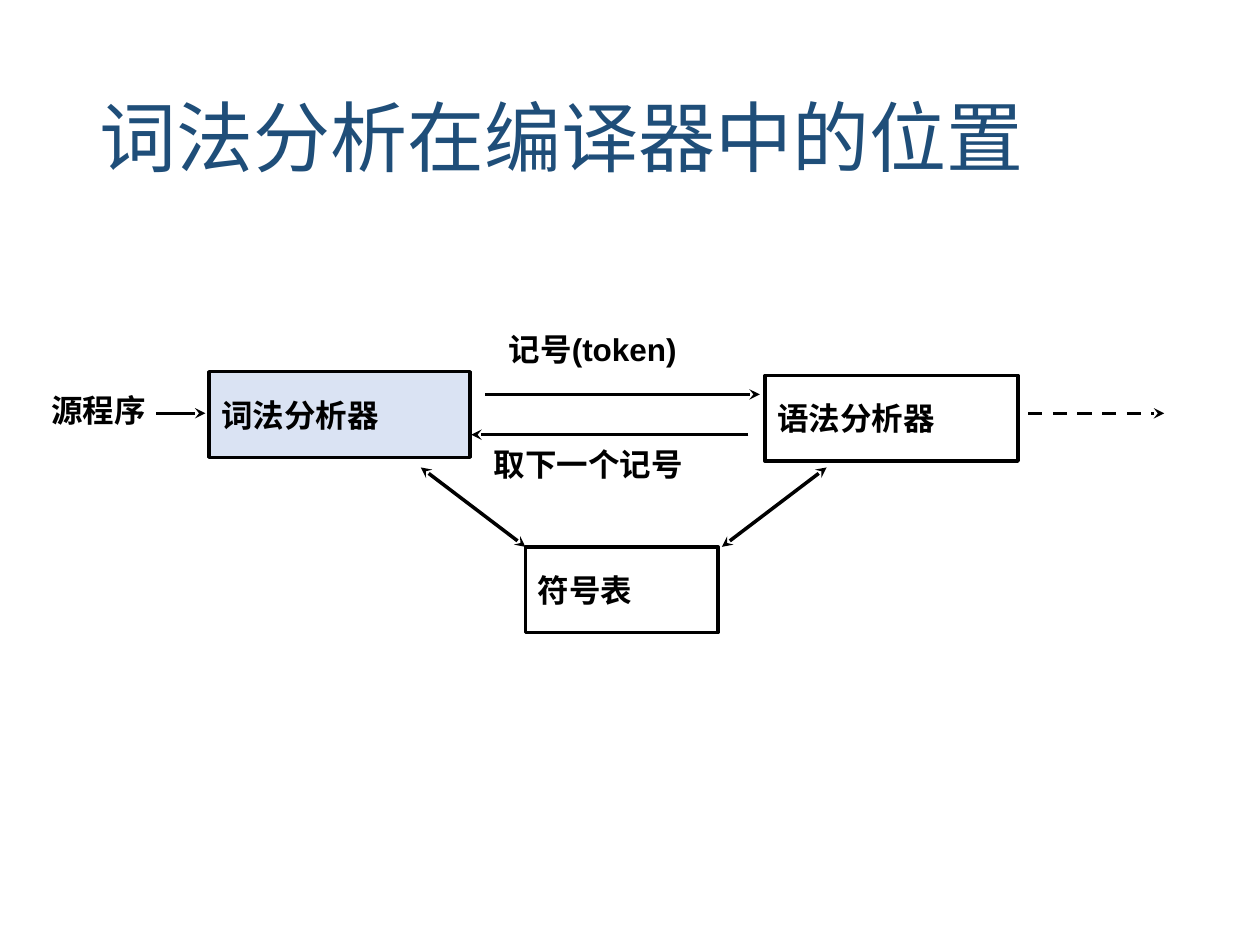
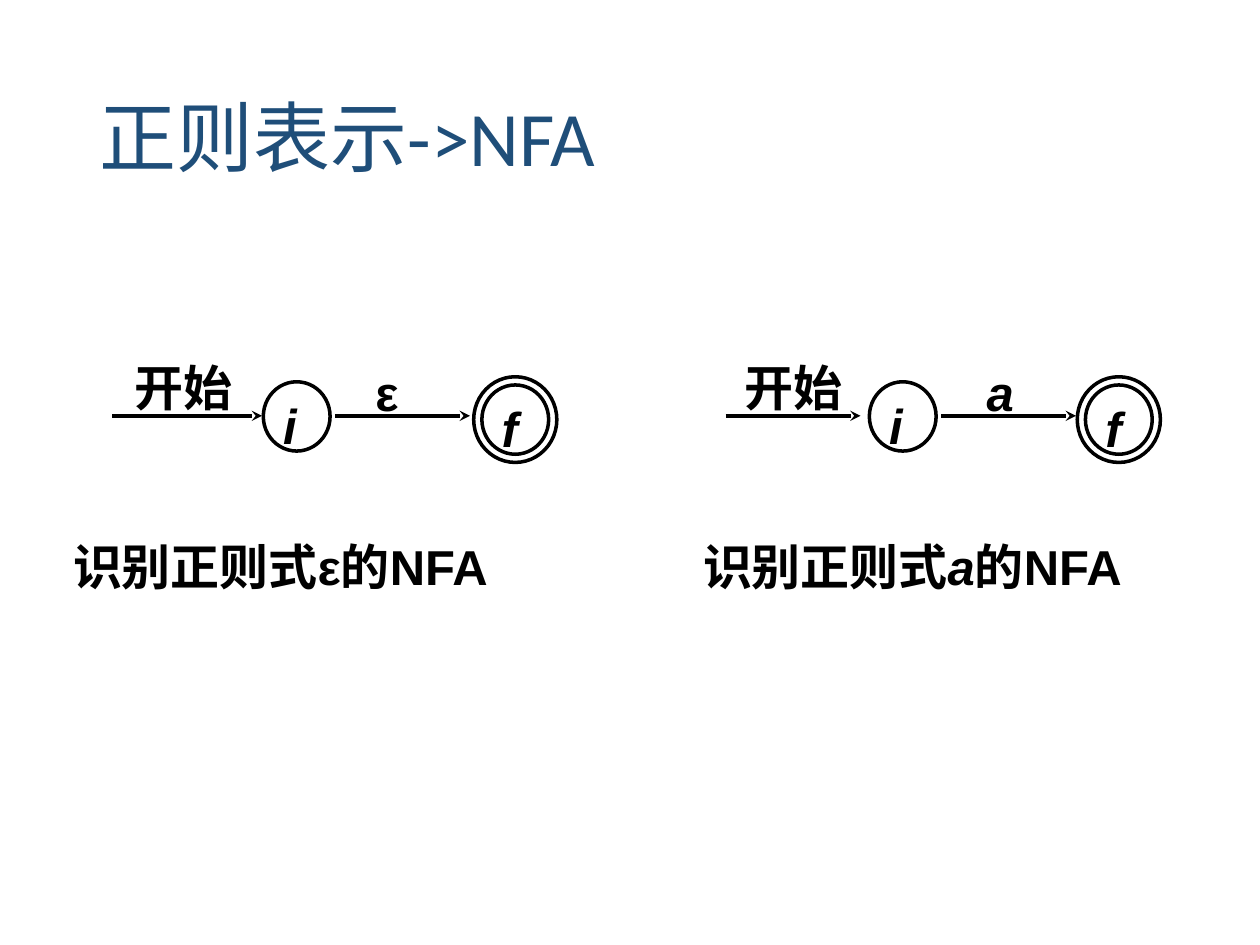
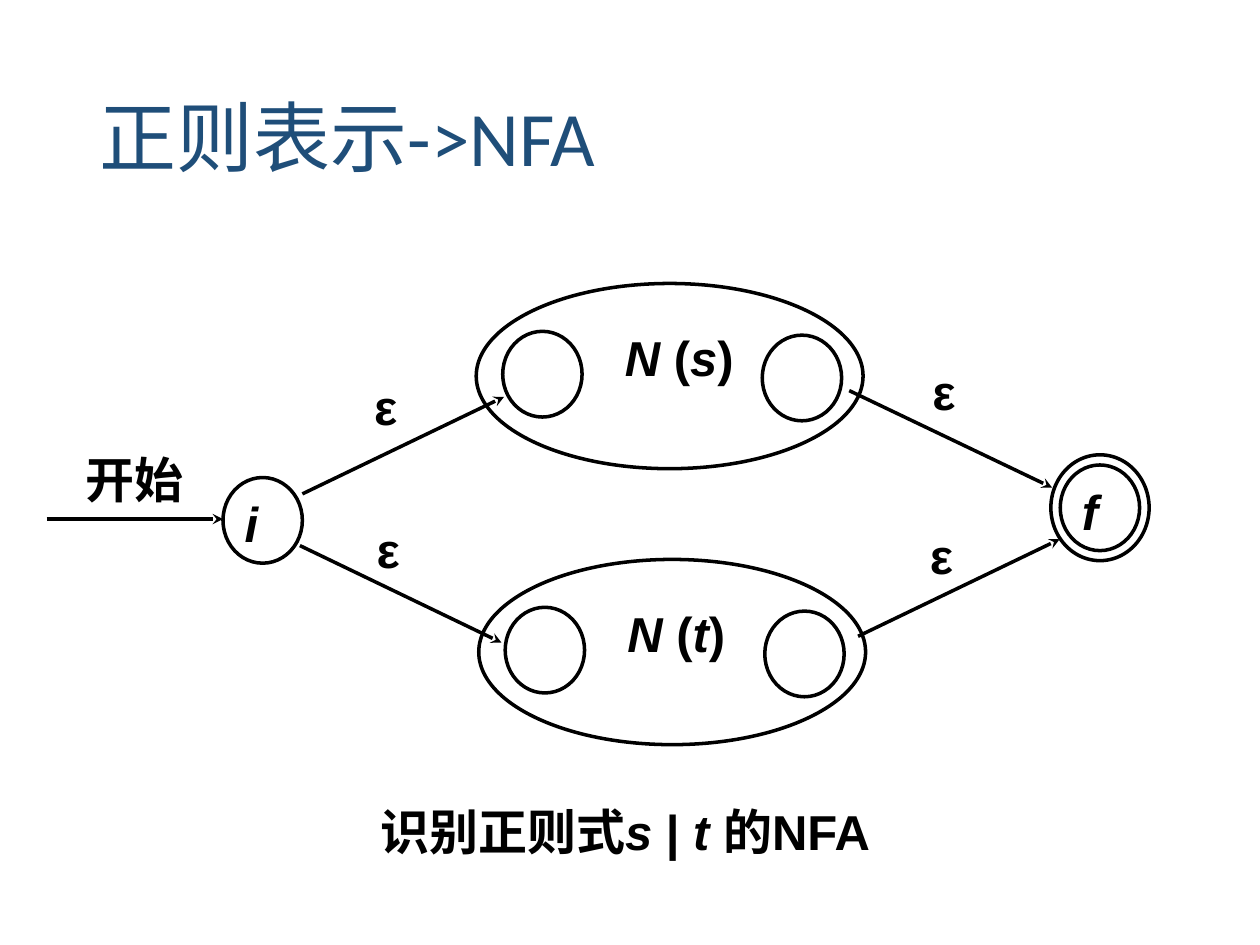
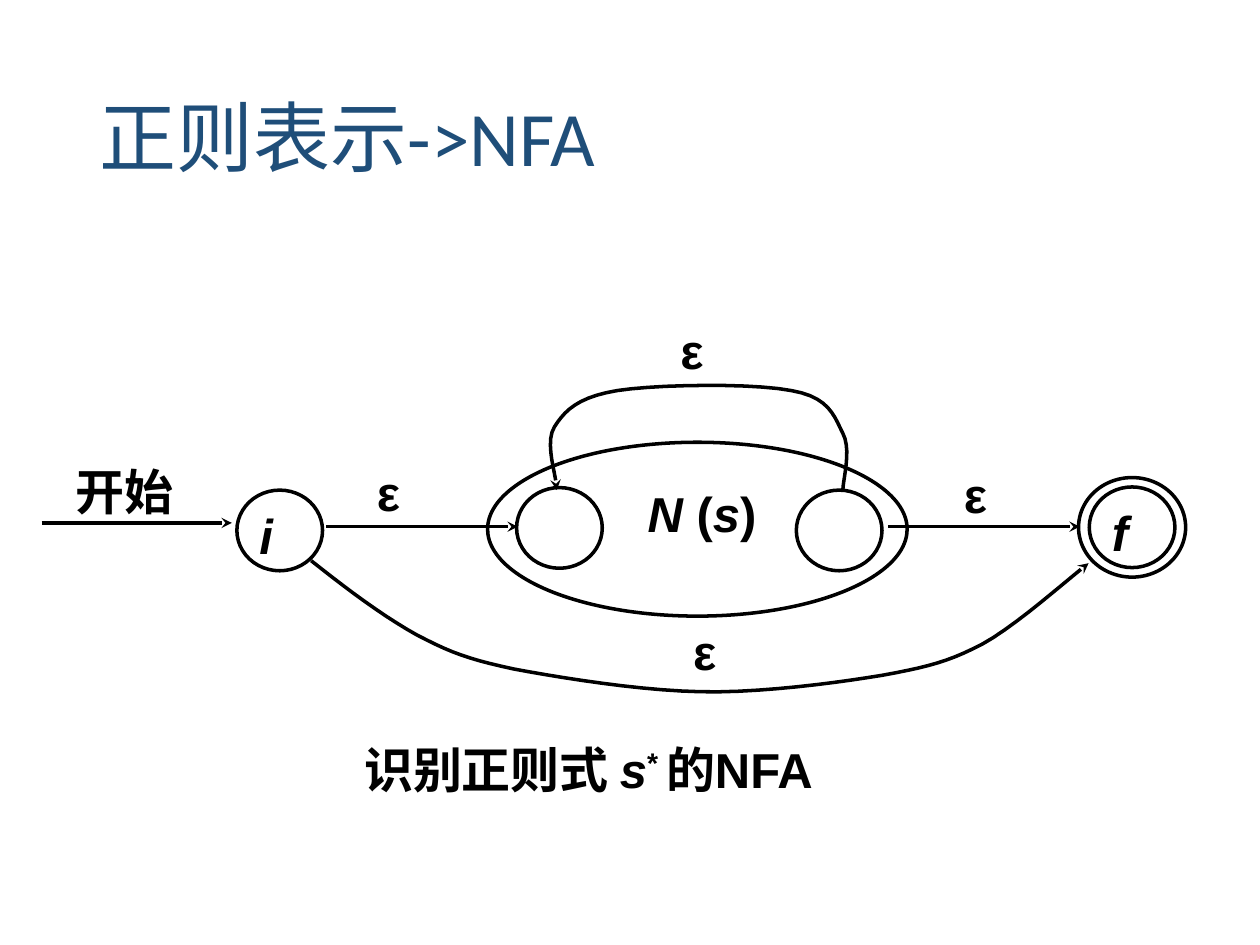
from lxml import etree
from pptx import Presentation
from pptx.dml.color import RGBColor
from pptx.enum import dml, shapes, text
from pptx.oxml.ns import qn
from pptx.util import Inches, Pt

COLORS = {"title": "1F4E79", "ink": "000000", "highlight": "DAE3F3"}
LABEL_INSETS = (0.06, 0.03, 0.06, 0.03)
STATE_INSETS = (0.08, 0.03, 0.02, 0.02)
NAME_INSETS = (0.09, 0.03, 0.1, 0.05)
BOX_INSETS = (0.1, 0.05, 0.1, 0.05)
NFA_TITLE = "正则表示->NFA"
EPSILON = "ε"
START = "开始"


def color(name):
    """Look up a colour of the deck."""
    return RGBColor.from_string(COLORS[name])


def write(shape, runs, size, insets, font="Arial", ink="ink", bold=True,
          anchor=text.MSO_ANCHOR.TOP, align=text.PP_ALIGN.LEFT):
    """Fill a shape with one paragraph; runs is a string or (text, style) pairs."""
    frame = shape.text_frame
    frame.word_wrap = True
    frame.vertical_anchor = anchor
    (frame.margin_left, frame.margin_top,
     frame.margin_right, frame.margin_bottom) = map(Inches, insets)
    paragraph = frame.paragraphs[0]
    paragraph.alignment = align
    paragraph.font.name = font
    paragraph.font.size = Pt(size)
    paragraph.font.bold = bold
    paragraph.font.color.rgb = color(ink)
    for words, style in [(runs, "")] if isinstance(runs, str) else runs:
        run = paragraph.add_run()
        run.text = words
        if style == "italic":
            run.font.italic = True
        elif style == "super":
            run._r.get_or_add_rPr().set("baseline", "30000")
    return paragraph


def add_label(slide, at, runs, size=28, insets=LABEL_INSETS):
    """Add a bold text box at (left, top, width, height)."""
    box = slide.shapes.add_textbox(*map(Inches, at))
    write(box, runs, size, insets)


def add_title_slide(deck, title):
    """Add a blank slide with the shared title."""
    slide = deck.slides.add_slide(deck.slide_layouts[6])
    box = slide.shapes.add_textbox(*map(Inches, (0.69, 0.4, 8.62, 1.45)))
    paragraph = write(box, title, 44, BOX_INSETS, "Calibri", "title", False,
                      text.MSO_ANCHOR.MIDDLE)
    paragraph.line_spacing = 0.9
    return slide


def outline(shape, fill=None):
    """Give a shape the black outline, no shadow and an optional fill."""
    shape.shadow.inherit = False
    shape.line.color.rgb = color("ink")
    shape.line.width = Pt(2)
    if fill:
        shape.fill.solid()
        shape.fill.fore_color.rgb = color(fill)
    else:
        shape.fill.background()


def add_module(slide, at, name, fill=None):
    """Add a named compiler module as a rectangle."""
    module = slide.shapes.add_shape(shapes.MSO_SHAPE.RECTANGLE, *map(Inches, at))
    outline(module, fill)
    write(module, name, 18, BOX_INSETS, anchor=text.MSO_ANCHOR.MIDDLE)


def add_state(slide, at, name=""):
    """Add an automaton state as an ellipse."""
    state = slide.shapes.add_shape(shapes.MSO_SHAPE.OVAL, *map(Inches, at))
    outline(state)
    if name:
        write(state, [(name, "italic")], 28, STATE_INSETS)


def add_final_state(slide, outer, inner_size):
    """Add the accepting state f as two concentric ellipses."""
    left, top, width, height = outer
    inner_width, inner_height = inner_size
    add_state(slide, outer)
    add_state(slide, (left + (width - inner_width) / 2,
                      top + (height - inner_height) / 2,
                      inner_width, inner_height), "f")


def add_heads(line, both=False):
    """Put stealth arrowheads on the end, or on both ends, of a line."""
    for tag in ("a:headEnd", "a:tailEnd") if both else ("a:tailEnd",):
        etree.SubElement(line._get_or_add_ln(), qn(tag), type="stealth")


def add_arrow(slide, start, end, both=False, dashed=False):
    """Add a straight arrow between two (x, y) points."""
    arrow = slide.shapes.add_connector(
        shapes.MSO_CONNECTOR.STRAIGHT, *map(Inches, (*start, *end)))
    arrow.line.color.rgb = color("ink")
    arrow.line.width = Pt(2)
    if dashed:
        arrow.line.dash_style = dml.MSO_LINE.DASH
    add_heads(arrow.line, both)
    etree.SubElement(arrow._element.spPr, qn("a:effectLst"))


def bezier_points(start, curves, steps=10):
    """Return points along a chain of cubic curves."""
    points = [start]
    for first, second, end in curves:
        for step in range(1, steps + 1):
            t = step / steps
            weights = ((1 - t) ** 3, 3 * t * (1 - t) ** 2, 3 * t * t * (1 - t), t ** 3)
            corners = (start, first, second, end)
            points.append(tuple(sum(w * c[axis] for w, c in zip(weights, corners))
                                for axis in (0, 1)))
        start = end
    return points


def add_curved_arrow(slide, start, curves):
    """Add an open curved arrow through cubic curves."""
    points = [tuple(map(Inches, point)) for point in bezier_points(start, curves)]
    builder = slide.shapes.build_freeform(*points[0])
    builder.add_line_segments(points[1:], close=False)
    arrow = builder.convert_to_shape()
    outline(arrow)
    add_heads(arrow.line)


def add_sub_nfa(slide, left, top, size, state_size, entry, leave, label, name):
    """Add the ellipse N(name); entry, leave and label are offsets inside it."""
    add_state(slide, (left, top, *size))
    for dx, dy in (entry, leave):
        add_state(slide, (left + dx, top + dy, *state_size))
    dx, dy, width, height = label
    add_label(slide, (left + dx, top + dy, width, height),
              [("N ", "italic"), ("(", ""), (name, "italic"), (")", "")],
              insets=NAME_INSETS)


def build_compiler_slide(deck):
    """Show where lexical analysis sits in a compiler."""
    slide = add_title_slide(deck, "词法分析在编译器中的位置")
    add_module(slide, (1.66, 2.95, 2.07, 0.68), "词法分析器", "highlight")
    add_module(slide, (6.07, 2.98, 2.01, 0.68), "语法分析器")
    add_module(slide, (4.17, 4.34, 1.53, 0.68), "符号表")
    add_arrow(slide, (3.34, 3.71), (4.17, 4.34), both=True)
    add_arrow(slide, (6.56, 3.71), (5.73, 4.34), both=True)
    add_arrow(slide, (3.85, 3.13), (6.03, 3.13))
    add_arrow(slide, (5.94, 3.45), (3.74, 3.45))
    add_arrow(slide, (1.24, 3.28), (1.63, 3.28))
    add_arrow(slide, (8.16, 3.28), (9.24, 3.28), dashed=True)
    for at, words in (((3.94, 2.57, 2, 0.5), "记号(token)"),
                      ((3.82, 3.48, 2.23, 0.5), "取下一个记号"),
                      ((0.31, 3.05, 1.33, 0.69), "源程序")):
        add_label(slide, at, words, 18, BOX_INSETS)


def add_basic_nfa(slide, start, start_label, initial, final, symbol_left,
                  caption_left, symbol, style):
    """Add a two-state NFA for one symbol; start is the entry arrow's x range."""
    y, size = 3.3, (0.53, 0.55)
    add_arrow(slide, (start[0], y), (start[1], y))
    add_label(slide, (start_label, 2.81, 1, 0.54), START)
    add_state(slide, (initial, 3.03, *size), "i")
    add_arrow(slide, (initial + 0.57, y), (initial + 1.64, y))
    add_label(slide, (symbol_left, 2.85, 0.43, 0.44), [(symbol, style)])
    add_final_state(slide, (final, 2.99, 0.66, 0.68), size)
    add_label(slide, (caption_left, 4.23, 3.96, 0.46),
              [("识别正则式", ""), (symbol, style), ("的NFA", "")])


def build_basic_slide(deck):
    """Show the NFAs for the empty string and for a single symbol."""
    slide = add_title_slide(deck, NFA_TITLE)
    add_basic_nfa(slide, (0.89, 2.08), 1.01, 2.09, 3.76, 2.92, 0.52, EPSILON, "")
    add_basic_nfa(slide, (5.76, 6.83), 5.85, 6.9, 8.55, 7.77, 5.52, "a", "italic")


def build_union_slide(deck):
    """Show the NFA for s | t."""
    slide = add_title_slide(deck, NFA_TITLE)
    size = (0.63, 0.68)
    add_arrow(slide, (0.37, 4.12), (1.77, 4.12))
    add_label(slide, (0.62, 3.54, 1.02, 0.65), START)
    add_state(slide, (1.77, 3.79, *size), "i")
    add_final_state(slide, (8.34, 3.61, 0.78, 0.84), size)
    for left, top, name in ((3.78, 2.25, "s"), (3.8, 4.44, "t")):
        add_sub_nfa(slide, left, top, (3.07, 1.47), size, (0.21, 0.38),
                    (2.27, 0.41), (1.09, 0.32, 1.07, 0.82), name)
    for start, end, label in (((2.4, 3.92), (4, 3.15), (2.91, 2.96)),
                              ((2.38, 4.33), (3.98, 5.1), (2.93, 4.09)),
                              ((6.74, 3.1), (8.35, 3.87), (7.34, 2.84)),
                              ((6.81, 5.05), (8.41, 4.28), (7.32, 4.14))):
        add_arrow(slide, start, end)
        add_label(slide, (*label, 0.51, 0.55), EPSILON)
    add_label(slide, (2.96, 6.33, 4.7, 0.57),
              [("识别正则式", ""), ("s ", "italic"), ("| ", ""),
               ("t ", "italic"), ("的NFA", "")])


def build_closure_slide(deck):
    """Show the NFA for s*."""
    slide = add_title_slide(deck, NFA_TITLE)
    size = (0.68, 0.64)
    add_arrow(slide, (0.33, 4.15), (1.84, 4.15))
    add_label(slide, (0.54, 3.63, 1.11, 0.61), START)
    add_state(slide, (1.88, 3.89, *size), "i")
    add_sub_nfa(slide, 3.87, 3.51, (3.33, 1.38), size, (0.23, 0.36),
                (2.45, 0.38), (1.18, 0.3, 1.16, 0.77), "s")
    add_final_state(slide, (8.56, 3.79, 0.85, 0.79), size)
    for left in (2.59, 7.05):
        add_arrow(slide, (left, 4.18), (left + 1.52, 4.18))
    add_curved_arrow(slide, (2.47, 4.45), [
        ((2.76, 4.68), (3.04, 4.89), (3.31, 5.04)),
        ((3.58, 5.18), (3.71, 5.23), (4.08, 5.31)),
        ((4.46, 5.38), (5.07, 5.48), (5.56, 5.49)),
        ((6.04, 5.5), (6.63, 5.42), (7, 5.36)),
        ((7.38, 5.29), (7.53, 5.25), (7.8, 5.11)),
        ((8.07, 4.96), (8.46, 4.61), (8.64, 4.47))])
    add_curved_arrow(slide, (6.69, 3.89), [
        ((6.69, 3.81), (6.76, 3.57), (6.69, 3.44)),
        ((6.62, 3.3), (6.58, 3.15), (6.28, 3.1)),
        ((5.98, 3.04), (5.22, 3.05), (4.9, 3.1)),
        ((4.59, 3.15), (4.48, 3.26), (4.4, 3.39)),
        ((4.32, 3.52), (4.42, 3.78), (4.42, 3.89))])
    for left, top in ((2.9, 3.64), (5.41, 4.9), (7.56, 3.66), (5.31, 2.51)):
        add_label(slide, (left, top, 0.65, 0.59), EPSILON, insets=NAME_INSETS)
    add_label(slide, (2.83, 5.84, 5.09, 0.54),
              [("识别正则式 ", ""), ("s", "italic"), ("* ", "super"), ("的NFA", "")])


def main():
    """Build the deck and save it."""
    deck = Presentation()
    deck.slide_width, deck.slide_height = Inches(10), Inches(7.5)
    build_compiler_slide(deck)
    build_basic_slide(deck)
    build_union_slide(deck)
    build_closure_slide(deck)
    deck.save("out.pptx")


main()
